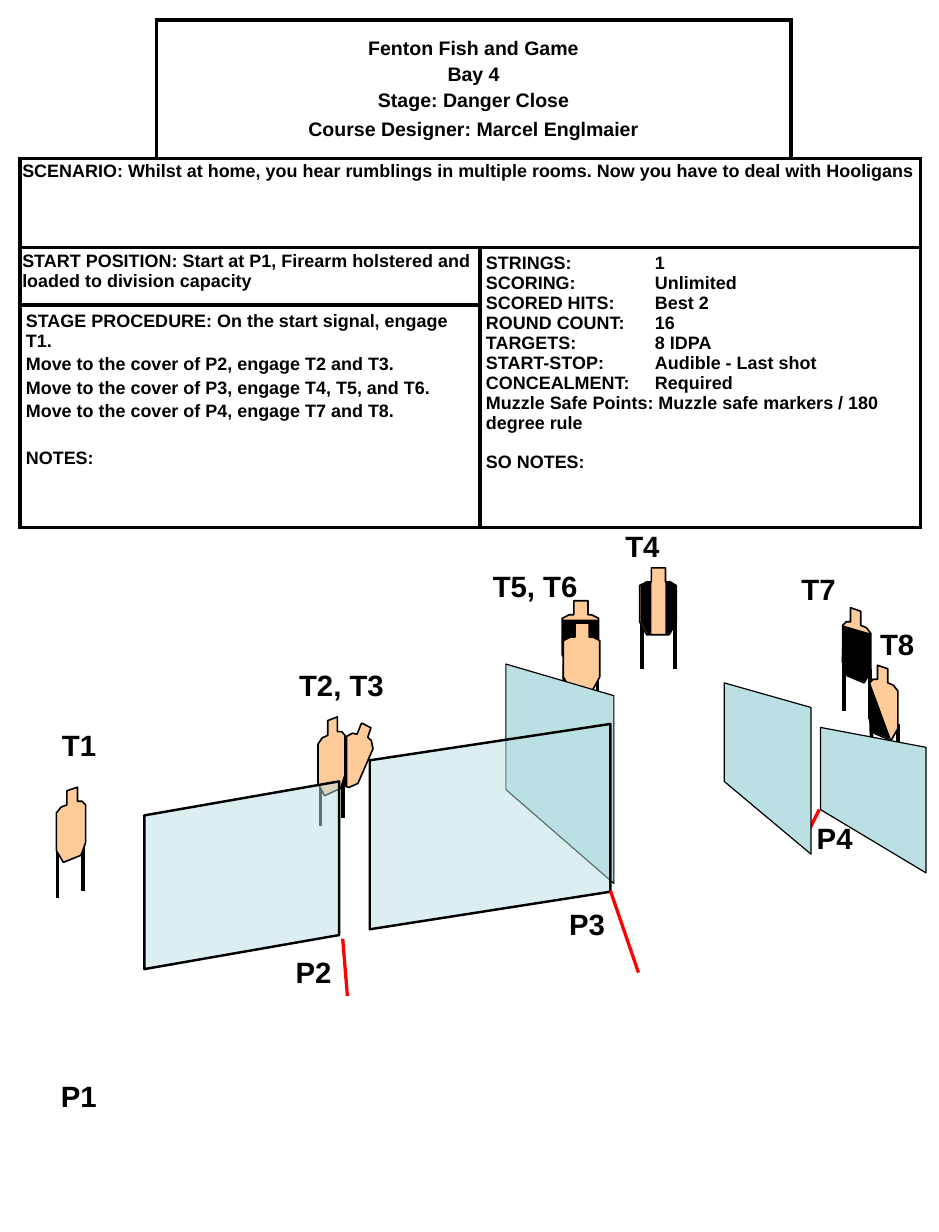
import pptx
import pptx.util
import pptx.dml.color
import pptx.enum.text
import pptx.enum.shapes
import pptx.oxml
import pptx.oxml.ns

Pt = pptx.util.Pt
ALIGN = pptx.enum.text.PP_ALIGN
ANCHOR = pptx.enum.text.MSO_ANCHOR

COLORS = {"ink": "000000", "paper": "FFFFFF", "cardboard": "FFCC99",
          "wall": "BBE0E3", "boundary": "FF0000"}

# Stage sheet: positions below are in inches and turned into Cm by inch()
COLUMNS = [1.16, 2.76, 2.65, 1.1]
ROWS = [1.18, 0.76, 0.49, 1.9]
SHEET_AT = (0.17, 0.17)
VALUE_TAB = 1.44
HEADER = {"alignment": ALIGN.CENTER}
# Each block: first cell, last cell, insets (x, y), text size, anchor,
# paragraphs as (text, space before in points, format)
BLOCKS = [
    ((0, 1), (0, 2), (0.05, 0.05), 12, ANCHOR.MIDDLE, [
        ("Fenton Fish and Game", 0, HEADER),
        ("Bay 4", 2.4, HEADER),
        ("Stage: Danger Close", 2.4, HEADER),
        ("Course Designer: Marcel Englmaier", 4.2, HEADER)]),
    ((1, 0), (1, 3), (0.02, 0.04), 11, ANCHOR.TOP, [
        ("SCENARIO: Whilst at home, you hear rumblings in multiple rooms. "
         "Now you have to deal with Hooligans", 0, {"line_spacing": 0.9})]),
    ((2, 0), (2, 1), (0.02, 0.03), 11, ANCHOR.TOP, [
        ("START POSITION: Start at P1, Firearm holstered and loaded to "
         "division capacity", 0, {})]),
    ((2, 2), (3, 3), (0.05, 0.05), 11, ANCHOR.TOP, [
        ("STRINGS:\t1", 0, {}),
        ("SCORING:\tUnlimited", 0, {}),
        ("SCORED HITS:\tBest 2", 0, {}),
        ("ROUND COUNT:\t16", 0, {}),
        ("TARGETS:\t8 IDPA", 0, {}),
        ("START-STOP:\tAudible - Last shot", 0, {}),
        ("CONCEALMENT:\tRequired", 0, {}),
        ("Muzzle Safe Points: Muzzle safe markers / 180 degree rule", 0, {}),
        ("SO NOTES:", 12, {})]),
    ((3, 0), (3, 1), (0.05, 0.05), 11, ANCHOR.TOP, [
        ("STAGE PROCEDURE: On the start signal, engage T1.", 0, {}),
        ("Move to the cover of P2, engage T2 and T3.", 2.2, {}),
        ("Move to the cover of P3, engage T4, T5, and T6.", 2.2, {}),
        ("Move to the cover of P4, engage T7 and T8.", 2.2, {}),
        ("NOTES:", 16.4, {})]),
]
CORNERS = {(0, 0): "RB", (0, 3): "LB"}

# Target outlines, measured from their top left corner
FACING = [(0.1, 0), (0.22, 0), (0.22, 0.12), (0.25, 0.12), (0.31, 0.15),
          (0.31, 0.46), (0.25, 0.57), (0.06, 0.57), (0, 0.46), (0, 0.15),
          (0.06, 0.12), (0.1, 0.12)]
TURNED = [(0.09, 0.03), (0.18, 0), (0.18, 0.12), (0.22, 0.12), (0.25, 0.15),
          (0.25, 0.47), (0.21, 0.58), (0.06, 0.64), (0, 0.54), (0, 0.22),
          (0.04, 0.17), (0.09, 0.15)]
MIRRORED = [(0.25 - x, y) for x, y in TURNED]


def place(outline, left, top, sx=1, sy=1):
    return [(left + x * sx, top + y * sy) for x, y in outline]


def upright_wall(left, right, left_top, right_top, left_foot, right_foot):
    return [(left, left_top), (right, right_top),
            (right, right_foot), (left, left_foot)]


# Kind: fill, opacity in percent, line colour, line width
STYLES = {
    "target": ("cardboard", 100, "ink", 1),
    "hard cover": ("ink", 100, None, 0),
    "wall": ("wall", 100, "ink", 0.75),
    "clear wall": ("wall", 50, "ink", 1.5),
    "leg": (None, 100, "ink", 2.25),
    "boundary": (None, 100, "boundary", 2),
}
# Course from back to front: kind, points, rotation
COURSE = [
    ("boundary", [(2.96, 8.49), (2.92, 8)], 0),
    # T3 and T2
    ("target", [(3.1, 6.17), (3.17, 6.21), (3.14, 6.29), (3.17, 6.32),
                (3.18, 6.39), (3.04, 6.68), (2.96, 6.71), (2.82, 6.65),
                (2.83, 6.53), (2.95, 6.28), (3.01, 6.25), (3.05, 6.26),
                (3.09, 6.17)], -2.3),
    ("hard cover", [(2.96, 6.71), (2.83, 6.64), (2.83, 6.52), (2.96, 6.27)], 0),
    ("leg", [(2.73, 6.53), (2.73, 7.04)], 0),
    ("leg", [(2.92, 6.45), (2.92, 6.97)], 0),
    ("target", place(TURNED, 2.71, 6.11, 0.92, 1.05), 0),
    # T5 and T6
    ("leg", [(4.81, 5.54), (4.8, 6.17)], 0),
    ("leg", [(5.09, 5.54), (5.09, 6.17)], 0),
    ("target", place(FACING, 4.79, 5.12), 0),
    ("hard cover", [(4.79, 5.28), (5.1, 5.28), (5.1, 5.58), (5.04, 5.69),
                    (4.85, 5.69), (4.79, 5.58)], 0),
    ("target", place(FACING, 4.8, 5.31), 0),
    # T1
    ("leg", [(0.49, 7.22), (0.49, 7.65)], 0),
    ("leg", [(0.71, 7.16), (0.71, 7.59)], 0),
    ("target", place(TURNED, 0.48, 6.71), 0),
    # T4
    ("leg", [(5.47, 5.26), (5.47, 5.7)], 0),
    ("leg", [(5.75, 5.26), (5.75, 5.7)], 0),
    ("target", place(FACING, 5.45, 4.84), 0),
    ("hard cover", [(5.67, 4.96), (5.67, 5.41), (5.71, 5.41), (5.77, 5.3),
                    (5.77, 4.99), (5.71, 4.95)], 0),
    ("hard cover", [(5.55, 4.96), (5.55, 5.41), (5.52, 5.41), (5.46, 5.3),
                    (5.46, 4.99), (5.52, 4.95)], 0),
    # T7
    ("leg", [(7.41, 5.7), (7.41, 6.13)], 0),
    ("leg", [(7.19, 5.62), (7.19, 6.06)], 0),
    ("target", place(MIRRORED, 7.18, 5.18, 0.96), 0),
    ("hard cover", [(7.42, 5.72), (7.36, 5.81), (7.22, 5.76), (7.17, 5.64),
                    (7.18, 5.33), (7.42, 5.4)], 0),
    # T8
    ("leg", [(7.65, 6.17), (7.65, 6.45)], 0),
    ("leg", [(7.42, 6.11), (7.43, 6.45)], 0),
    ("target", place(MIRRORED, 7.41, 5.67, 0.96), 0),
    ("hard cover", [(7.59, 6.3), (7.44, 6.24), (7.4, 6.13), (7.41, 5.81)], 0),
    # Walls and fault lines
    ("wall", upright_wall(4.31, 5.23, 5.66, 5.93, 6.73, 7.53), 0),
    ("wall", upright_wall(6.99, 7.89, 6.2, 6.37, 6.9, 7.44), 0),
    ("clear wall", upright_wall(3.15, 5.2, 6.48, 6.17, 7.92, 7.6), 0),
    ("clear wall", upright_wall(1.23, 2.89, 6.95, 6.66, 8.26, 7.97), 0),
    ("boundary", [(5.44, 8.29), (5.2, 7.59)], 0),
    ("boundary", [(6.86, 7.14), (6.98, 6.9)], 0),
    ("wall", upright_wall(6.17, 6.91, 5.82, 6.03, 6.66, 7.28), 0),
]
# Label: left, top, width
LABELS = {
    "P1": (0.42, 9.14, 0.58), "P2": (2.42, 8.08, 0.58),
    "P3": (4.75, 7.67, 0.58), "P4": (6.86, 6.94, 0.58),
    "T1": (0.43, 6.15, 0.76), "T2, T3": (2.45, 5.64, 1.12),
    "T5, T6": (4.1, 4.79, 1.15), "T4": (5.23, 4.45, 0.76),
    "T7": (6.73, 4.82, 0.76), "T8": (7.4, 5.29, 0.76),
}


def inch(value):
    return pptx.util.Cm(value * 2.54)


def rgb(name):
    return pptx.dml.color.RGBColor.from_string(COLORS[name])


def add_xml(parent, tag, **attributes):
    child = parent.makeelement(pptx.oxml.ns.qn(tag), attributes)
    parent.append(child)
    return child


def set_font(paragraph, size):
    for key, value in {"name": "Arial", "size": Pt(size), "bold": True}.items():
        setattr(paragraph.font, key, value)
    paragraph.font.color.rgb = rgb("ink")


def frame_cell(cell, sides):
    properties = cell._tc.get_or_add_tcPr()
    for side in "LRTB":
        edge = add_xml(properties, f"a:ln{side}", w=str(Pt(2.25)))
        if side in sides:
            add_xml(add_xml(edge, "a:solidFill"), "a:srgbClr", val=COLORS["ink"])
        else:
            add_xml(edge, "a:noFill")
    cell.fill.solid()
    cell.fill.fore_color.rgb = rgb("paper")


def add_sheet(slide):
    sheet = slide.shapes.add_table(
        len(ROWS), len(COLUMNS), *map(inch, SHEET_AT),
        inch(sum(COLUMNS)), inch(sum(ROWS))).table
    for column, width in zip(sheet.columns, COLUMNS):
        column.width = inch(width)
    for row, height in zip(sheet.rows, ROWS):
        row.height = inch(height)
    for r in range(len(ROWS)):
        for c in range(len(COLUMNS)):
            frame_cell(sheet.cell(r, c), CORNERS.get((r, c), "LRTB"))

    for first, last, (inset_x, inset_y), size, anchor, paragraphs in BLOCKS:
        cell = sheet.cell(*first)
        cell.merge(sheet.cell(*last))
        cell.vertical_anchor = anchor
        cell.margin_left = cell.margin_right = inch(inset_x)
        cell.margin_top = cell.margin_bottom = inch(inset_y)
        for i, (text, before, formats) in enumerate(paragraphs):
            frame = cell.text_frame
            paragraph = frame.add_paragraph() if i else frame.paragraphs[0]
            paragraph.text = text
            for key, value in formats.items():
                setattr(paragraph, key, value)
            if before:
                paragraph.space_before = Pt(before)
            if "\t" in text:
                tabs = add_xml(paragraph._p.get_or_add_pPr(), "a:tabLst")
                add_xml(tabs, "a:tab", pos=str(inch(VALUE_TAB)), algn="l")
            set_font(paragraph, size)


def add_piece(slide, kind, points, rotation):
    fill, opacity, line, width = STYLES[kind]
    points = [(inch(x), inch(y)) for x, y in points]
    if fill is None:
        start, end = points
        piece = slide.shapes.add_connector(
            pptx.enum.shapes.MSO_CONNECTOR.STRAIGHT, *start, *end)
        add_xml(piece._element.spPr, "a:effectLst")
    else:
        builder = slide.shapes.build_freeform(*points[0])
        builder.add_line_segments(points[1:], close=True)
        piece = builder.convert_to_shape()
        piece.shadow.inherit = False
        piece.rotation = rotation
        piece.fill.solid()
        piece.fill.fore_color.rgb = rgb(fill)
        if opacity < 100:
            color = piece._element.spPr.find(".//" + pptx.oxml.ns.qn("a:srgbClr"))
            add_xml(color, "a:alpha", val=str(opacity * 1000))
    if line:
        piece.line.color.rgb = rgb(line)
        piece.line.width = Pt(width)
    else:
        piece.line.fill.background()


def main():
    deck = pptx.Presentation()
    deck.slide_width, deck.slide_height = inch(8), inch(10.5)
    slide = deck.slides.add_slide(deck.slide_layouts[6])
    add_sheet(slide)
    for piece in COURSE:
        add_piece(slide, *piece)
    for text, (left, top, width) in LABELS.items():
        label = slide.shapes.add_textbox(*map(inch, (left, top, width, 0.4)))
        label.text_frame.word_wrap = True
        label.text_frame.text = text
        set_font(label.text_frame.paragraphs[0], 18)
    deck.save("out.pptx")


if __name__ == "__main__":
    main()
